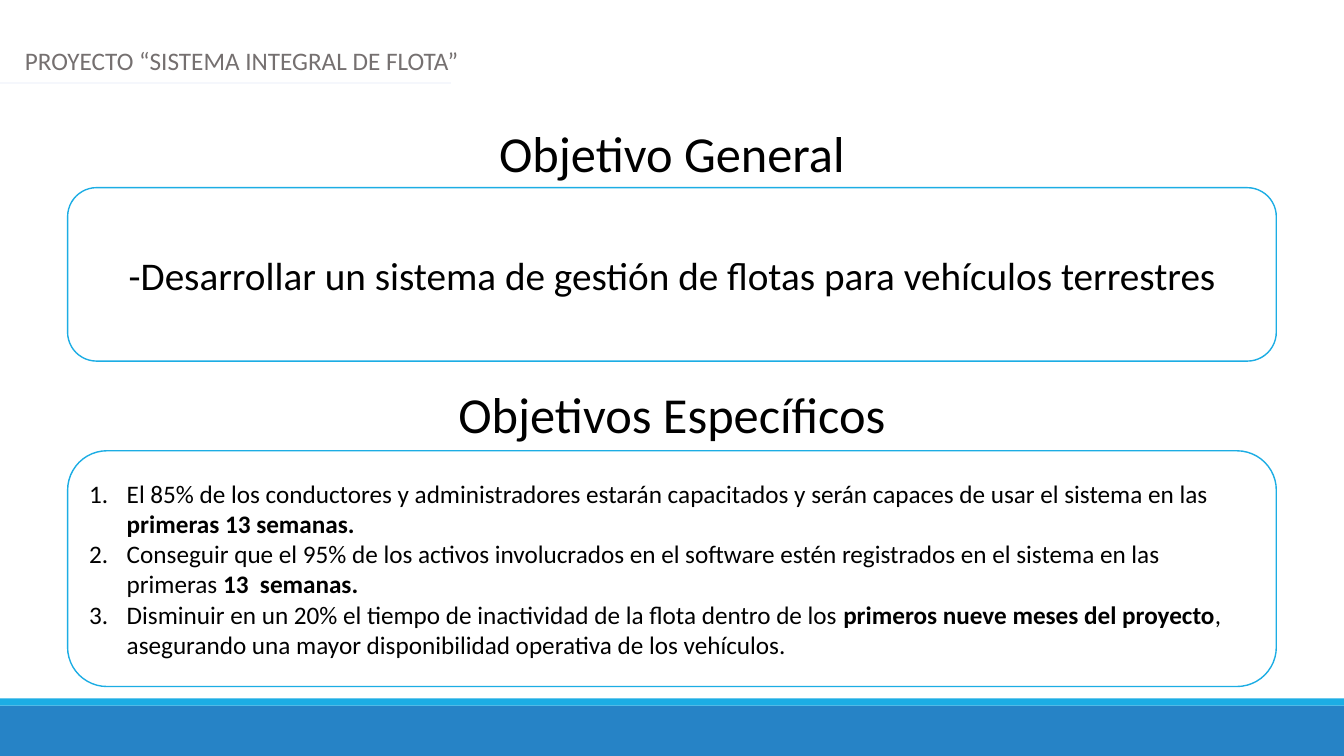
from dataclasses import dataclass

import pptx
import pptx.dml.color
import pptx.enum.shapes
import pptx.enum.text
import pptx.oxml
import pptx.oxml.ns
import pptx.util
from pptx.util import Cm

SHAPES = pptx.enum.shapes.MSO_SHAPE
ALIGN = pptx.enum.text.PP_ALIGN
ANCHOR = pptx.enum.text.MSO_ANCHOR


@dataclass(frozen=True)
class Theme:
    font: str = "Calibri"
    text: str = "000000"
    muted: str = "757070"
    paper: str = "FFFFFF"
    accent: str = "1CADE4"
    footer: str = "2683C6"
    rule: str = "F5F7FC"
    body_size: int = 18
    statement_size: int = 28
    heading_size: int = 36


THEME = Theme()
SLIDE_WIDTH = Cm(33.87)
SLIDE_HEIGHT = Cm(19.05)

SPECIFIC_GOALS = [
    [
        ("El 85% de los conductores y administradores estarán capacitados y serán "
         "capaces de usar el sistema en las ", False),
        ("primeras 13 semanas.", True),
    ],
    [
        ("Conseguir que el 95% de los activos involucrados en el software estén "
         "registrados en el sistema en las primeras ", False),
        ("13  semanas.", True),
    ],
    [
        ("Disminuir en un 20% el tiempo de inactividad de la flota dentro de los ", False),
        ("primeros nueve meses del proyecto", True),
        (", asegurando una mayor disponibilidad operativa de los vehículos.", False),
    ],
]


def rgb(value):
    return pptx.dml.color.RGBColor.from_string(value)


def add_run(paragraph, text, size, color=THEME.text, bold=False):
    run = paragraph.add_run()
    run.text = text
    run.font.name = THEME.font
    run.font.size = pptx.util.Pt(size)
    run.font.bold = bold
    run.font.color.rgb = rgb(color)


def add_label(slide, text, left, top, size, color, alignment):
    text_frame = slide.shapes.add_textbox(left, top, SLIDE_WIDTH, Cm(1.8)).text_frame
    text_frame.word_wrap = True
    paragraph = text_frame.paragraphs[0]
    paragraph.alignment = alignment
    add_run(paragraph, text, size, color)


def add_heading(slide, text, top):
    add_label(slide, text, 0, top, THEME.heading_size, THEME.text, ALIGN.CENTER)


def add_band(slide, top, height, color):
    shape = slide.shapes.add_shape(SHAPES.RECTANGLE, 0, top, SLIDE_WIDTH, height)
    shape.shadow.inherit = False
    shape.fill.solid()
    shape.fill.fore_color.rgb = rgb(color)
    shape.line.fill.background()


def add_rule(slide, top, width):
    connector = slide.shapes.add_connector(
        pptx.enum.shapes.MSO_CONNECTOR.STRAIGHT, 0, top, width, top)
    connector.line.color.rgb = rgb(THEME.rule)
    connector.line.width = pptx.util.Pt(1.25)
    properties = connector._element.spPr
    properties.append(pptx.oxml.parse_xml(
        f'<a:effectLst {pptx.oxml.ns.nsdecls("a")}/>'))


def add_card(slide, top, height):
    width = Cm(30.46)
    left = (SLIDE_WIDTH - width) // 2
    shape = slide.shapes.add_shape(SHAPES.ROUNDED_RECTANGLE, left, top, width, height)
    shape.shadow.inherit = False
    shape.adjustments[0] = 0.167
    shape.fill.solid()
    shape.fill.fore_color.rgb = rgb(THEME.paper)
    shape.line.color.rgb = rgb(THEME.accent)
    shape.line.width = pptx.util.Pt(1)
    shape.text_frame.word_wrap = True
    shape.text_frame.vertical_anchor = ANCHOR.MIDDLE
    return shape.text_frame


def number_paragraph(paragraph):
    properties = paragraph._p.get_or_add_pPr()
    indent = Cm(0.95)
    properties.set("marL", str(indent))
    properties.set("indent", str(-indent))
    namespace = pptx.oxml.ns.nsdecls("a")
    for markup in (
        f'<a:buClr {namespace}><a:srgbClr val="{THEME.text}"/></a:buClr>',
        f'<a:buFont {namespace} typeface="+mj-lt"/>',
        f'<a:buAutoNum {namespace} type="arabicPeriod"/>',
    ):
        properties.append(pptx.oxml.parse_xml(markup))


def add_statement_card(slide, text, top, height):
    paragraph = add_card(slide, top, height).paragraphs[0]
    paragraph.alignment = ALIGN.CENTER
    add_run(paragraph, text, THEME.statement_size)


def add_numbered_card(slide, items, top, height):
    text_frame = add_card(slide, top, height)
    for index, item in enumerate(items):
        paragraph = text_frame.add_paragraph() if index else text_frame.paragraphs[0]
        paragraph.alignment = ALIGN.LEFT
        number_paragraph(paragraph)
        for text, bold in item:
            add_run(paragraph, text, THEME.body_size, bold=bold)


def main():
    presentation = pptx.Presentation()
    presentation.slide_width = SLIDE_WIDTH
    presentation.slide_height = SLIDE_HEIGHT
    slide = presentation.slides.add_slide(presentation.slide_layouts[6])

    add_band(slide, Cm(17.78), Cm(1.27), THEME.footer)
    add_band(slide, Cm(17.6), Cm(0.18), THEME.accent)
    add_label(slide, "PROYECTO “SISTEMA INTEGRAL DE FLOTA”", Cm(0.38), Cm(1.02),
              THEME.body_size, THEME.muted, ALIGN.LEFT)
    add_rule(slide, Cm(2.1), Cm(11.36))
    add_heading(slide, "Objetivo General", Cm(2.95))
    add_heading(slide, "Objetivos Específicos", Cm(9.52))
    add_statement_card(
        slide, "-Desarrollar un sistema de gestión de flotas para vehículos terrestres",
        Cm(4.73), Cm(4.37))
    add_numbered_card(slide, SPECIFIC_GOALS, Cm(11.36), Cm(5.94))

    presentation.save("out.pptx")


if __name__ == "__main__":
    main()
